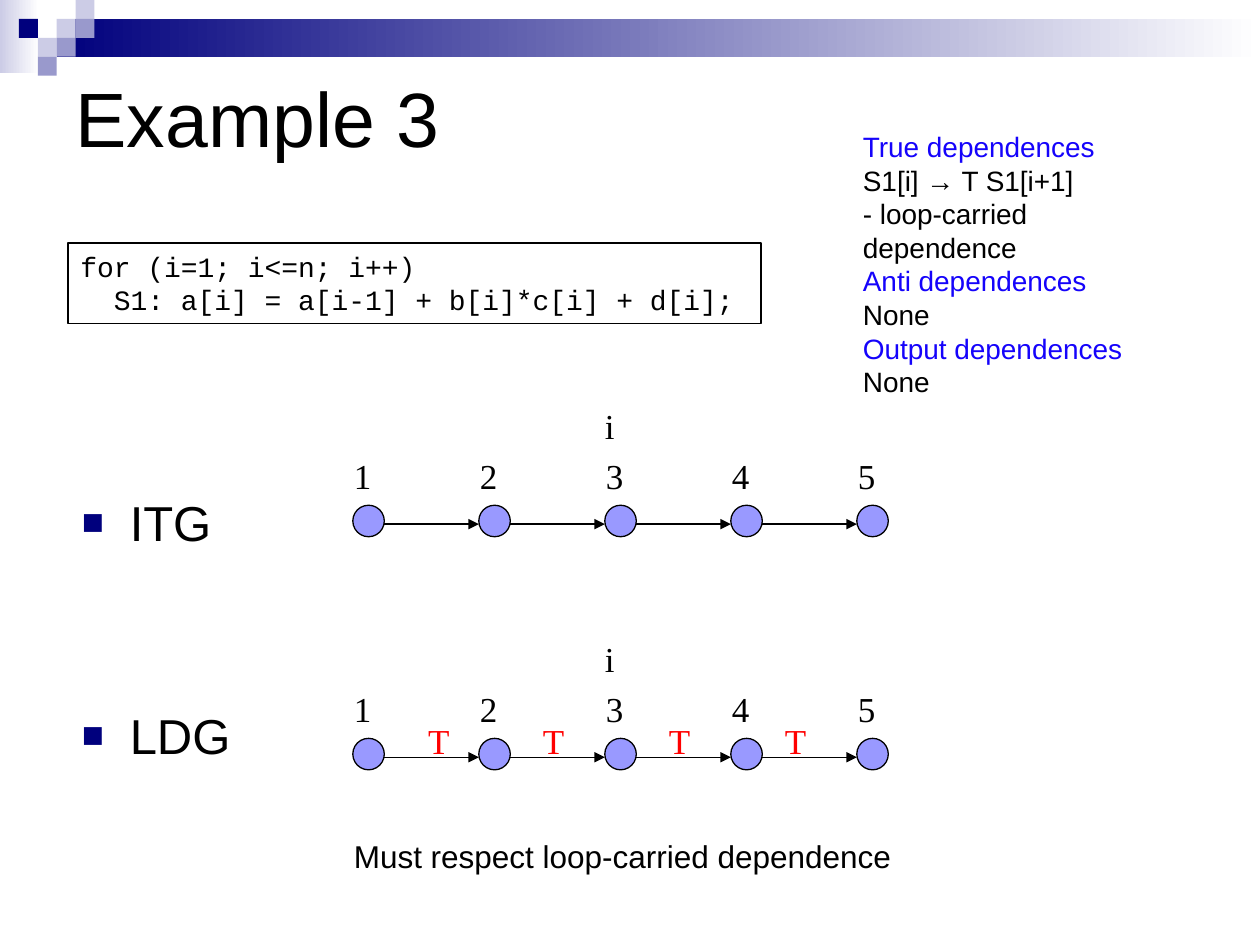
from lxml.etree import SubElement
from pptx import Presentation
from pptx.dml.color import RGBColor
from pptx.enum.shapes import MSO_CONNECTOR, MSO_SHAPE
from pptx.enum.text import MSO_ANCHOR, MSO_AUTO_SIZE, PP_ALIGN
from pptx.oxml.ns import qn
from pptx.util import Inches, Pt

BLACK, NAVY, BLUE, RED = "000000", "00007D", "1503FB", "FF0000"
PALE, MID, NODE, WHITE = "CCCCE6", "9999CC", "9999FF", "FFFFFF"
SANS, MONO, SERIF = "Arial", "Courier New", "Times New Roman"

TITLE = "Example 3"
CODE = ["for (i=1; i<=n; i++)", "  S1: a[i] = a[i-1] + b[i]*c[i] + d[i];"]
DEPENDENCES = [
    ("True dependences", ["S1[i] → T S1[i+1]", "- loop-carried dependence"]),
    ("Anti dependences", ["None"]),
    ("Output dependences", ["None"]),
]
CONCLUSION = "Must respect loop-carried dependence"
ITERATIONS = ["1", "2", "3", "4", "5"]
# name, top of the name, top of the graph, left edges of the arrow labels
GRAPHS = [
    ("ITG", 3.86, 3.16, []),
    ("LDG", 5.55, 5.01, [3.3, 4.21, 5.21, 6.13]),
]
ARROW_LABEL = "T"

# Header: mosaic squares as (column, row, colour) on a grid of small cells
CELL = 0.15
BANDS = [((0, 0, 0.31, 0.58), PALE), ((0.45, CELL, 9.55, 0.3), NAVY)]
MOSAIC = [(3, 1, PALE), (4, 0, PALE), (4, 1, MID), (2, 2, PALE),
          (1, 1, NAVY), (3, 2, MID), (2, 3, MID)]

NODE_LEFT, NODE_STEP, NODE_SIZE = 2.8, 1, 0.25
NODE_DROP, ARROW_DROP, NUMBER_DROP, LABEL_DROP = 0.85, 1, 0.4, 0.65


def color(value):
    return RGBColor.from_string(value)


def format_text(paragraph, size, font, value):
    for run in paragraph.runs:
        run.font.size = Pt(size)
        run.font.name = font
        run.font.color.rgb = color(value)


def place(shape, left, top, width, height):
    shape.left, shape.top = Inches(left), Inches(top)
    shape.width, shape.height = Inches(width), Inches(height)


def add_text(shapes, box, lines, size, font, align=PP_ALIGN.LEFT):
    """Add a wrapped text box; lines holds (text, colour) pairs."""
    shape = shapes.add_textbox(*map(Inches, box))
    frame = shape.text_frame
    frame.word_wrap = True
    frame.text = "\n".join(text for text, _ in lines)
    for paragraph, (_, value) in zip(frame.paragraphs, lines):
        paragraph.alignment = align
        format_text(paragraph, size, font, value)
    return shape


def add_filled(shapes, kind, box, fill, outline=None):
    shape = shapes.add_shape(kind, *map(Inches, box))
    shape.shadow.inherit = False
    shape.fill.solid()
    shape.fill.fore_color.rgb = color(fill)
    if outline:
        set_outline(shape, outline)
    else:
        shape.line.fill.background()
    return shape


def set_outline(shape, value):
    shape.line.color.rgb = color(value)
    shape.line.width = Pt(0.75)


def add_arrow(shapes, left, right, y):
    arrow = shapes.add_connector(MSO_CONNECTOR.STRAIGHT, *map(Inches, (left, y, right, y)))
    set_outline(arrow, BLACK)
    SubElement(arrow.line._get_or_add_ln(), qn("a:tailEnd"), type="triangle")
    SubElement(arrow._element.spPr, qn("a:effectLst"))


def add_header(shapes):
    for box, start in BANDS:
        band = add_filled(shapes, MSO_SHAPE.RECTANGLE, box, start)
        band.fill.gradient()
        band.fill.gradient_angle = 0
        for stop, value in zip(band.fill.gradient_stops, (start, WHITE)):
            stop.color.rgb = color(value)
    for column, row, value in MOSAIC:
        box = (column * CELL, row * CELL, CELL, CELL)
        add_filled(shapes, MSO_SHAPE.RECTANGLE, box, value)


def fill_bullet(placeholder, text, top):
    place(placeholder, 0.55, top, 3.67, 0.67)
    frame = placeholder.text_frame
    frame.text = text
    frame.auto_size = MSO_AUTO_SIZE.NONE
    paragraph = frame.paragraphs[0]
    format_text(paragraph, 28, SANS, BLACK)
    properties = paragraph._p.get_or_add_pPr()
    properties.set("marL", str(Inches(0.38)))
    properties.set("indent", str(Inches(-0.38)))
    bullet_color = SubElement(properties, qn("a:buClr"))
    SubElement(bullet_color, qn("a:srgbClr"), val=NAVY)
    SubElement(properties, qn("a:buSzPct"), val="75000")
    SubElement(properties, qn("a:buFont"), typeface=SANS)
    SubElement(properties, qn("a:buChar"), char="■")


def add_graph(slide, top, label_lefts):
    """Draw a chain of numbered iterations joined by arrows."""
    shapes = slide.shapes.add_group_shape().shapes
    add_text(shapes, (4.63, top, 0.42, 0.44), [("i", BLACK)], 20, SERIF, PP_ALIGN.CENTER)
    for index, number in enumerate(ITERATIONS):
        left = NODE_LEFT + index * NODE_STEP
        add_filled(shapes, MSO_SHAPE.OVAL,
                   (left, top + NODE_DROP, NODE_SIZE, NODE_SIZE), NODE, BLACK)
        add_text(shapes, (left - 0.09, top + NUMBER_DROP, 0.36, 0.4),
                 [(number, BLACK)], 20, SERIF)
        if index:
            add_arrow(shapes, left - NODE_STEP + NODE_SIZE, left, top + ARROW_DROP)
    for left in label_lefts:
        add_text(shapes, (left, top + LABEL_DROP, 0.42, 0.44),
                 [(ARROW_LABEL, RED)], 20, SERIF)


def main():
    presentation = Presentation()
    presentation.slide_width, presentation.slide_height = Inches(10), Inches(7.5)
    slide = presentation.slides.add_slide(presentation.slide_layouts.get_by_name("Two Content"))
    title, *bodies = slide.placeholders

    add_header(slide.shapes)
    place(title, 0.5, 0.5, 9, 0.86)
    title.text_frame.text = TITLE
    title.text_frame.auto_size = MSO_AUTO_SIZE.NONE
    title.text_frame.vertical_anchor = MSO_ANCHOR.MIDDLE
    heading = title.text_frame.paragraphs[0]
    heading.alignment = PP_ALIGN.LEFT
    format_text(heading, 44, SANS, BLACK)

    code = add_text(slide.shapes, (0.54, 1.93, 5.5, 0.64),
                    [(line, BLACK) for line in CODE], 16, MONO)
    set_outline(code, BLACK)

    notes = []
    for kind, details in DEPENDENCES:
        notes.append((kind, BLUE))
        notes.extend((detail, BLACK) for detail in details)
    add_text(slide.shapes, (6.75, 0.98, 2.75, 2.26), notes, 16, SANS)

    for body, (name, name_top, graph_top, label_lefts) in zip(bodies, GRAPHS):
        fill_bullet(body, name, name_top)
        add_graph(slide, graph_top, label_lefts)
    add_text(slide.shapes, (2.71, 6.59, 5.19, 0.4), [(CONCLUSION, BLACK)], 18, SANS)

    presentation.save("out.pptx")


if __name__ == "__main__":
    main()
